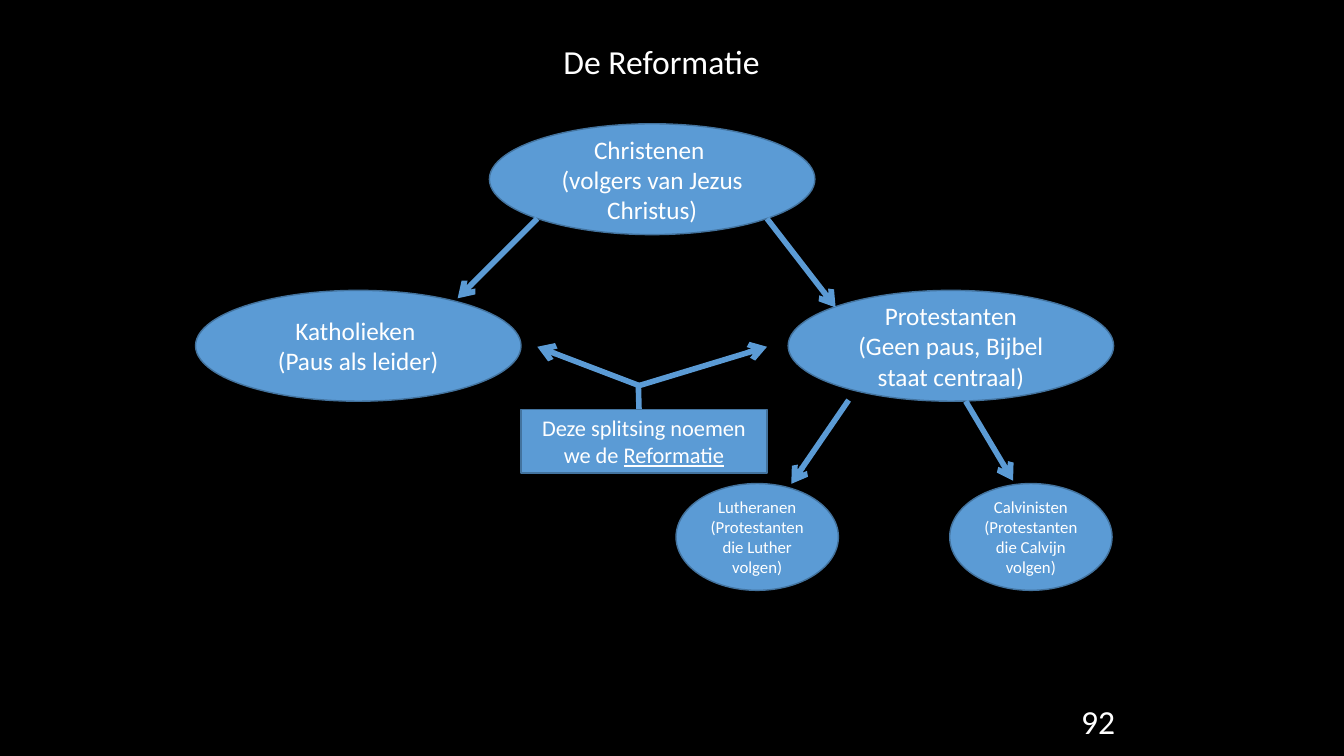
from dataclasses import dataclass

from lxml import etree
from pptx import Presentation
from pptx.dml.color import RGBColor
from pptx.enum.shapes import MSO_CONNECTOR, MSO_SHAPE
from pptx.enum.text import MSO_ANCHOR, PP_ALIGN
from pptx.oxml.ns import qn
from pptx.slide import Slide
from pptx.text.text import TextFrame
from pptx.util import Pt

ELLIPSE = MSO_SHAPE.OVAL
RECTANGLE = MSO_SHAPE.RECTANGLE
STRAIGHT = MSO_CONNECTOR.STRAIGHT
TOP, MIDDLE = MSO_ANCHOR.TOP, MSO_ANCHOR.MIDDLE
LEFT, CENTER, RIGHT = PP_ALIGN.LEFT, PP_ALIGN.CENTER, PP_ALIGN.RIGHT

FONT = "Calibri"
BLACK, WHITE, BLUE, DARK_BLUE = "000000", "FFFFFF", "5B9BD5", "43739E"


@dataclass(frozen=True)
class Node:
    text: str
    left: float
    top: float
    width: float
    height: float
    size: float
    shape_type: MSO_SHAPE = ELLIPSE


@dataclass(frozen=True)
class Line:
    start: tuple[float, float]
    end: tuple[float, float]
    arrow: bool = True


GROUP_SIZE = (232.5, 79.2)
BRANCH_SIZE = (116, 76.3)
GROUP_TOP, BRANCH_TOP = 207.4, 345.4
FORK = (456, 275.6)

NODES = [
    Node("Christenen \n(volgers van Jezus Christus)", 349.6, 88.4, *GROUP_SIZE, 18),
    Node("Katholieken \n(Paus als leider)", 139.7, GROUP_TOP, *GROUP_SIZE, 18),
    Node("Protestanten\n(Geen paus, Bijbel staat centraal)", 563, GROUP_TOP, *GROUP_SIZE, 18),
    Node("Lutheranen\n(Protestanten die Luther volgen)", 482.9, BRANCH_TOP, *BRANCH_SIZE, 12),
    Node("Calvinisten\n(Protestanten die Calvijn volgen)", 678.4, BRANCH_TOP, *BRANCH_SIZE, 12),
]
SPLIT_LABEL = Node("Deze splitsing noemen we de ", 372.2, 292.6, 175.7, 45.2, 16, RECTANGLE)
LINES = [
    Line((383.8, 156.2), (326.9, 213.1)),
    Line((547.9, 156.2), (596.9, 219.6)),
    Line((689.8, 286.6), (723.6, 343.4)),
    Line((606.2, 285.8), (565.2, 345.6)),
    Line((457, 275.6), (383.8, 247.7)),
    Line(FORK, (547.9, 247.7)),
    Line(FORK, (457.2, 321), arrow=False),
]


def color(value: str) -> RGBColor:
    return RGBColor.from_string(value)


def format_text(frame: TextFrame, size: float, alignment: PP_ALIGN, anchor: MSO_ANCHOR) -> None:
    frame.vertical_anchor = anchor
    for paragraph in frame.paragraphs:
        paragraph.alignment = alignment
        for run in paragraph.runs:
            run.font.name = FONT
            run.font.size = Pt(size)
            run.font.color.rgb = color(WHITE)


def add_title(slide: Slide) -> None:
    title = slide.shapes.title
    title.left, title.top, title.width, title.height = Pt(395.3), Pt(25.9), Pt(156.2), Pt(36)
    title.text_frame.text = "De Reformatie"
    title.text_frame.word_wrap = False
    title.text_frame.paragraphs[0].line_spacing = 1.0
    format_text(title.text_frame, 24, LEFT, TOP)


def add_node(slide: Slide, node: Node, underlined: str = "") -> None:
    """Draw a filled shape, with an optional underlined ending to its text."""
    shape = slide.shapes.add_shape(
        node.shape_type, Pt(node.left), Pt(node.top), Pt(node.width), Pt(node.height))
    shape.shadow.inherit = False
    shape.fill.solid()
    shape.fill.fore_color.rgb = color(BLUE)
    shape.line.color.rgb = color(DARK_BLUE)
    shape.line.width = Pt(1)
    frame = shape.text_frame
    frame.word_wrap = True
    frame.text = node.text
    if underlined:
        run = frame.paragraphs[-1].add_run()
        run.text = underlined
        run.font.underline = True
    format_text(frame, node.size, CENTER, MIDDLE)


def add_line(slide: Slide, line: Line) -> None:
    connector = slide.shapes.add_connector(
        STRAIGHT, *(Pt(value) for value in line.start + line.end))
    connector.line.color.rgb = color(BLUE)
    connector.line.width = Pt(4)
    if line.arrow:
        etree.SubElement(connector.line._get_or_add_ln(), qn("a:tailEnd"), type="arrow")
    etree.SubElement(connector._element.spPr, qn("a:effectLst"))


def add_page_number(slide: Slide) -> None:
    frame = slide.shapes.add_textbox(Pt(635.8), Pt(500.4), Pt(167.8), Pt(28.8)).text_frame
    frame.word_wrap = True
    frame.text = "92"
    format_text(frame, 24, RIGHT, MIDDLE)


def main() -> None:
    presentation = Presentation()
    presentation.slide_width, presentation.slide_height = Pt(960), Pt(540)
    slide = presentation.slides.add_slide(presentation.slide_layouts.get_by_name("Title Only"))
    slide.background.fill.solid()
    slide.background.fill.fore_color.rgb = color(BLACK)
    add_title(slide)
    for node in NODES:
        add_node(slide, node)
    for line in LINES:
        add_line(slide, line)
    add_node(slide, SPLIT_LABEL, underlined="Reformatie")
    add_page_number(slide)
    presentation.save("out.pptx")


if __name__ == "__main__":
    main()
